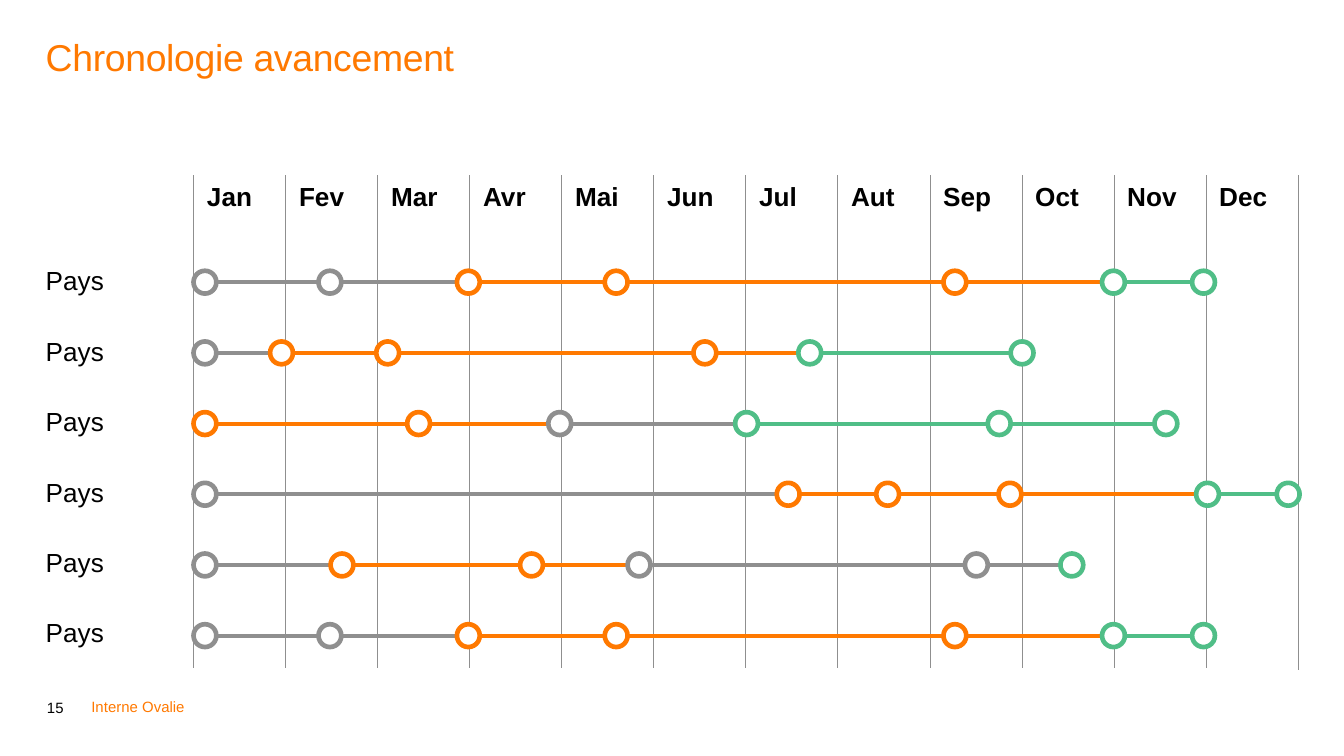
from lxml.etree import SubElement
from pptx import Presentation
from pptx.dml.color import RGBColor
from pptx.enum.shapes import MSO_CONNECTOR, MSO_SHAPE
from pptx.enum.text import MSO_ANCHOR, PP_ALIGN
from pptx.oxml.ns import qn
from pptx.util import Inches, Pt

# Colours
ORANGE = RGBColor(0xFF, 0x79, 0x00)
GREY = RGBColor(0x8F, 0x8F, 0x8F)
GREEN = RGBColor(0x50, 0xBE, 0x87)
BLACK = RGBColor(0x00, 0x00, 0x00)
WHITE = RGBColor(0xFF, 0xFF, 0xFF)

# Content
TITLE = "Chronologie avancement"
NUMBER = "15"
FOOTER = "Interne Ovalie"
MONTHS = ["Jan", "Fev", "Mar", "Avr", "Mai", "Jun",
          "Jul", "Aut", "Sep", "Oct", "Nov", "Dec"]
FULL = [(1.44, GREY), (2.37, GREY), (3.4, ORANGE), (4.5, ORANGE),
        (7.02, ORANGE), (8.2, GREEN), (8.87, GREEN)]
# Each country: label, then left edge and colour of each milestone
ROWS = [
    ("Pays", FULL),
    ("Pays", [(1.44, GREY), (2.01, ORANGE), (2.8, ORANGE), (5.16, ORANGE),
              (5.94, GREEN), (7.52, GREEN)]),
    ("Pays", [(1.44, ORANGE), (3.03, ORANGE), (4.08, GREY), (5.47, GREEN),
              (7.35, GREEN), (8.59, GREEN)]),
    ("Pays", [(1.44, GREY), (5.78, ORANGE), (6.52, ORANGE), (7.43, ORANGE),
              (8.9, GREEN), (9.5, GREEN)]),
    ("Pays", [(1.44, GREY), (2.46, ORANGE), (3.87, ORANGE), (4.67, GREY),
              (7.18, GREY), (7.89, GREEN)]),
    ("Pays", FULL),
]

# Layout, in inches; the slide is 16:9
WIDE = 10
HIGH = WIDE * 9 / 16
LEFT, TOP, WIDTH, HEIGHT = 0.34, 1.31, 9.32, 3.67
LABEL = 1.1
DOT = 0.17
FIRST, LAST = 2.1, 4.73
STEP = (LAST - FIRST) / (len(ROWS) - 1)


def write(frame, text, size=14, color=BLACK, bold=False, space=None,
          after=None, track=None):
    para = frame.paragraphs[0]
    para.alignment = PP_ALIGN.LEFT
    para.line_spacing = space
    if after:
        para.space_after = Pt(after)
    run = para.add_run()
    run.text = text
    font = run.font
    font.name, font.size, font.bold = "Arial", Pt(size), bold
    font.color.rgb = color
    if track:
        run._r.get_or_add_rPr().set("spc", str(track))


def inset(frame, left=0):
    frame.margin_left = Inches(left)
    frame.margin_top = frame.margin_right = frame.margin_bottom = 0


def edge(cell, side, color, width):
    line = SubElement(cell._tc.get_or_add_tcPr(), qn("a:" + side),
                      w=str(Pt(width)))
    fill = SubElement(line, qn("a:solidFill"))
    SubElement(fill, qn("a:srgbClr"), val=str(color))


def link(slide, x1, x2, y, color):
    line = slide.shapes.add_connector(
        MSO_CONNECTOR.STRAIGHT, Inches(x1), Inches(y), Inches(x2), Inches(y))
    line.line.color.rgb = color
    line.line.width = Pt(2.25)
    SubElement(line._element.spPr, qn("a:effectLst"))


def dot(slide, x, y, color):
    ring = slide.shapes.add_shape(
        MSO_SHAPE.OVAL, Inches(x), Inches(y - DOT / 2),
        Inches(DOT), Inches(DOT))
    ring.shadow.inherit = False
    ring.fill.solid()
    ring.fill.fore_color.rgb = WHITE
    ring.line.color.rgb = color
    ring.line.width = Pt(2.5)


def heads(slide):
    # Title
    title = slide.shapes.title
    title.left, title.top = Inches(LEFT), Inches(0.29)
    title.width, title.height = Inches(9.31), Inches(0.81)
    frame = title.text_frame
    inset(frame)
    frame.vertical_anchor = MSO_ANCHOR.TOP
    write(frame, TITLE, size=20, color=ORANGE, space=0.9, track=-20)

    # Page number and footer
    frame = slide.shapes.add_textbox(
        Inches(LEFT), Inches(4.96), Inches(0.3), Inches(0.37)).text_frame
    inset(frame, 0.01)
    frame.word_wrap = True
    frame.vertical_anchor = MSO_ANCHOR.BOTTOM
    write(frame, NUMBER, size=8, space=0.85, after=12)
    frame = slide.shapes.add_textbox(
        Inches(0.68), Inches(5.19), Inches(0.81), Inches(0.13)).text_frame
    inset(frame)
    frame.word_wrap = False
    write(frame, FOOTER, size=8, color=ORANGE)


def grid(slide):
    table = slide.shapes.add_table(
        len(ROWS) + 1, len(MONTHS) + 1, Inches(LEFT), Inches(TOP),
        Inches(WIDTH), Inches(HEIGHT)).table
    table.first_row = table.horz_banding = False
    # Table style without grid
    style = table._tbl.tblPr.find(qn("a:tableStyleId"))
    style.text = "{2D5ABB26-0587-4C30-8999-92F81FD0307C}"

    for col in table.columns:
        col.width = Inches((WIDTH - LABEL) / len(MONTHS))
    table.columns[0].width = Inches(LABEL)
    for i, row in enumerate(table.rows):
        row.height = Inches(HEIGHT / (len(ROWS) + 1))
        for j, cell in enumerate(row.cells):
            if j:
                edge(cell, "lnL", GREY, 0.25)
            else:
                edge(cell, "lnL", WHITE, 1)
            edge(cell, "lnR", GREY, 0.25)
            if i == 0:
                edge(cell, "lnT", WHITE, 1)
            if i == len(ROWS):
                edge(cell, "lnB", WHITE, 1)
            cell.fill.background()

    for i, month in enumerate(MONTHS, 1):
        write(table.cell(0, i).text_frame, month, bold=True)
    for i, (label, _) in enumerate(ROWS, 1):
        cell = table.cell(i, 0)
        cell.margin_left = 0
        cell.vertical_anchor = MSO_ANCHOR.MIDDLE
        write(cell.text_frame, label)


def tracks(slide):
    # A link takes the colour of the milestone it leaves
    for i, (_, marks) in enumerate(ROWS):
        y = FIRST + i * STEP
        for (x, color), (end, _) in zip(marks, marks[1:]):
            # One line runs behind the third milestone of the second row
            link(slide, x + DOT, end, y, color)
        for x, color in marks:
            dot(slide, x, y, color)


def main():
    deck = Presentation()
    deck.slide_width, deck.slide_height = Inches(WIDE), Inches(HIGH)
    slide = deck.slides.add_slide(deck.slide_layouts[5])
    heads(slide)
    grid(slide)
    tracks(slide)
    deck.save("out.pptx")


if __name__ == "__main__":
    main()
